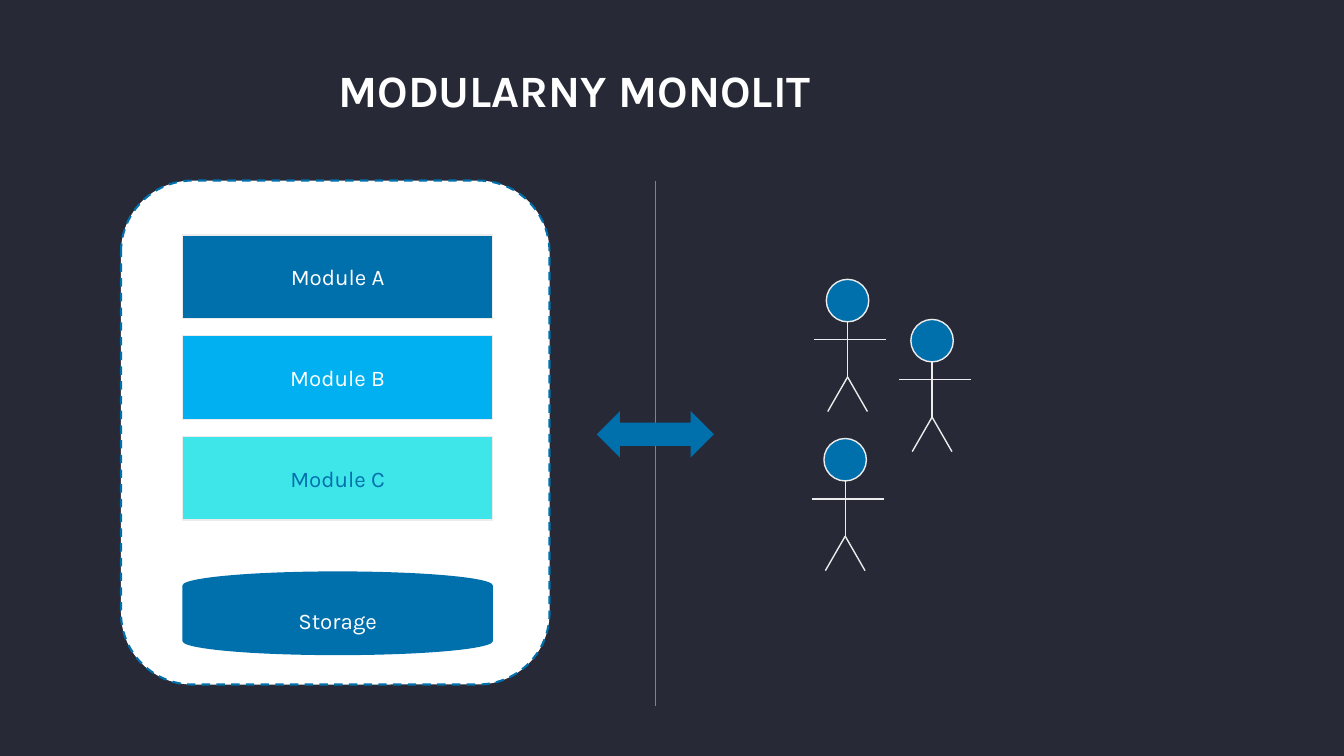
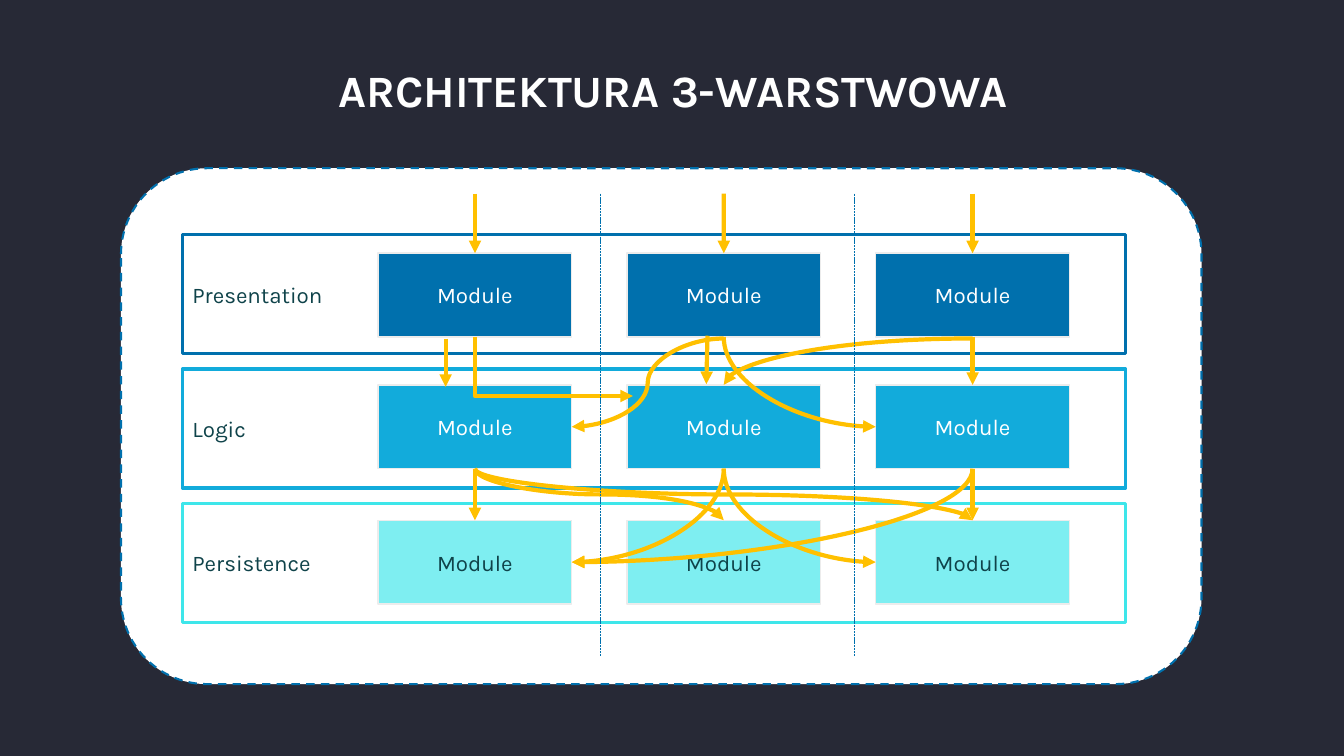
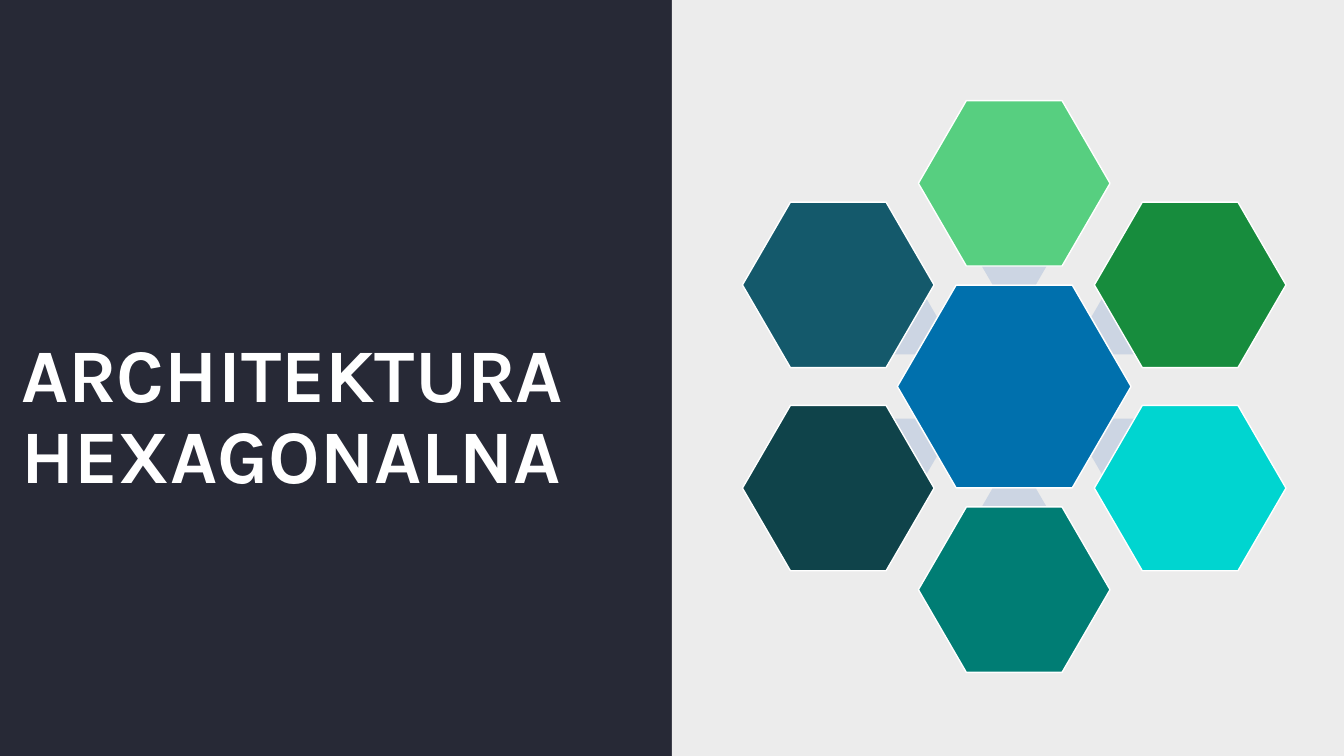
"""Build three slides on software architecture styles."""
from dataclasses import dataclass
from math import cos, radians, sin
from typing import NamedTuple, Optional

from lxml.etree import SubElement
from pptx import Presentation
from pptx.dml.color import RGBColor
from pptx.enum.dml import MSO_LINE_DASH_STYLE as Dash
from pptx.enum.shapes import MSO_CONNECTOR as Link, MSO_SHAPE as Preset
from pptx.enum.text import MSO_ANCHOR as Anchor, MSO_AUTO_SIZE as AutoSize, PP_ALIGN as Align
from pptx.oxml.ns import qn
from pptx.presentation import Presentation as Deck
from pptx.shapes.autoshape import Shape
from pptx.shapes.connector import Connector
from pptx.shapes.shapetree import _BaseGroupShapes as Shapes
from pptx.slide import Slide
from pptx.text.text import TextFrame
from pptx.util import Cm, Pt


@dataclass(frozen=True)
class Theme:
    font: str = "Karla"
    title_size: float = 32
    cover_size: float = 54
    label_size: float = 16
    background: str = "272936"
    white: str = "FFFFFF"
    pale: str = "ECECEC"
    blue: str = "0070AD"
    bright: str = "00B0F0"
    sky: str = "12ABDB"
    aqua: str = "3EE6EA"
    light_aqua: str = "7EEEF1"
    teal: str = "0F434A"
    arrow: str = "FFC000"
    spoke: str = "CCD5E3"
    ring: tuple[str, ...] = ("57CF80", "178C3D", "00D5D0", "007D74", "0F434A", "14596B")


THEME = Theme()


class Point(NamedTuple):
    x: float
    y: float


class Box(NamedTuple):
    left: float
    top: float
    width: float
    height: float


class Stroke(NamedTuple):
    color: str
    width: float
    dash: Optional[Dash] = None
    arrow: bool = False


class Label(NamedTuple):
    text: str
    color: str
    align: Align = Align.CENTER


class Block(NamedTuple):
    text: str
    fill: str
    color: str


class Layer(NamedTuple):
    name: str
    border: str
    fill: str
    color: str
    module_top: float


class Route(NamedTuple):
    start: Point
    end: Point
    preset: str
    vertical: bool = True


THIN = Stroke(THEME.pale, 1)
FRAME = Stroke(THEME.blue, 1.5, Dash.DASH)
FLOW = Stroke(THEME.arrow, 3, arrow=True)
HEX_EDGE = Stroke(THEME.white, 1)
HEADING = Box(8.43, 1.73, 25, 1.22)
BLOCK_HEIGHT = 2.11


def rgb(color: str) -> RGBColor:
    return RGBColor.from_string(color)


def write(frame: TextFrame, label: Label, size: float, bold: bool = False) -> None:
    """Put one formatted paragraph in a text frame."""
    frame.text = label.text
    paragraph = frame.paragraphs[0]
    paragraph.alignment = label.align
    font = paragraph.font
    font.name, font.size, font.bold = THEME.font, Pt(size), bold
    font.color.rgb = rgb(label.color)


def add_titled_slide(presentation: Deck, text: str, box: Box, size: float) -> Slide:
    """Add a title-only slide and place its title."""
    slide = presentation.slides.add_slide(presentation.slide_layouts[5])
    title = slide.shapes.title
    title.left, title.top, title.width, title.height = map(Cm, box)
    frame = title.text_frame
    write(frame, Label(text, THEME.white, Align.LEFT), size, bold=True)
    frame.paragraphs[0].line_spacing = 0.9
    frame.word_wrap = True
    frame.auto_size = AutoSize.NONE
    frame.vertical_anchor = Anchor.BOTTOM
    frame.margin_left = frame.margin_right = Cm(0.1)
    frame.margin_top = frame.margin_bottom = Cm(0)
    return slide


def add_block(shapes: Shapes, preset: Preset, box: Box, fill: Optional[str] = None,
              stroke: Optional[Stroke] = None, label: Optional[Label] = None) -> Shape:
    """Add a preset shape with optional fill, outline and label."""
    shape = shapes.add_shape(preset, *map(Cm, box))
    shape.shadow.inherit = False
    if fill:
        shape.fill.solid()
        shape.fill.fore_color.rgb = rgb(fill)
    else:
        shape.fill.background()
    if stroke:
        apply_stroke(shape, stroke)
    else:
        shape.line.fill.background()
    if label:
        write(shape.text_frame, label, THEME.label_size)
        shape.text_frame.vertical_anchor = Anchor.MIDDLE
    return shape


def apply_stroke(shape: Shape | Connector, stroke: Stroke) -> None:
    """Set colour, width and dash of a line."""
    shape.line.color.rgb = rgb(stroke.color)
    shape.line.width = Pt(stroke.width)
    if stroke.dash:
        shape.line.dash_style = stroke.dash


def add_line(shapes: Shapes, start: Point, end: Point, stroke: Stroke,
             kind: Link = Link.STRAIGHT) -> Connector:
    """Add a connector between two points."""
    connector = shapes.add_connector(kind, *map(Cm, (*start, *end)))
    apply_stroke(connector, stroke)
    properties = connector._element.spPr
    if stroke.arrow:
        SubElement(properties.find(qn("a:ln")), qn("a:tailEnd"), type="triangle")
    SubElement(properties, qn("a:effectLst"))
    return connector


def add_route(shapes: Shapes, route: Route) -> None:
    """Add a bent or curved arrow; a vertical one leaves its start downwards."""
    start, end = route.start, route.end
    if route.vertical:
        run, drop = end.x - start.x, end.y - start.y
        middle = Point((start.x + end.x) / 2, (start.y + end.y) / 2)
        half_width = drop / 2 if run > 0 else -drop / 2
        half_height = abs(run) / 2
        start = Point(middle.x + half_width, middle.y - half_height)
        end = Point(middle.x - half_width, middle.y + half_height)
    connector = add_line(shapes, start, end, FLOW, Link.CURVE)
    properties = connector._element.spPr
    properties.find(qn("a:prstGeom")).set("prst", route.preset)
    if route.vertical:
        angle = 270 if run > 0 else 90
        properties.find(qn("a:xfrm")).set("rot", str(angle * 60000))


def add_person(slide: Slide, center: float, top: float) -> None:
    """Draw a stick figure as one group."""
    shapes = slide.shapes.add_group_shape().shapes
    hip = Point(center, top + 2.46)
    add_line(shapes, Point(center, top + 0.41), hip, THIN)
    add_line(shapes, Point(center + 0.97, top + 1.52), Point(center - 0.84, top + 1.52), THIN)
    for side in (-0.5, 0.5):
        add_line(shapes, hip, Point(center + side, top + 3.33), THIN)
    head = 1.07
    add_block(shapes, Preset.OVAL, Box(center - head / 2, top, head, head), THEME.blue, THIN)


def build_monolith(presentation: Deck) -> None:
    slide = add_titled_slide(presentation, "MODULARNY MONOLIT", HEADING, THEME.title_size)
    shapes = slide.shapes
    add_block(shapes, Preset.ROUNDED_RECTANGLE, Box(3.05, 4.55, 10.8, 12.7), THEME.white, FRAME)
    left, width = 4.6, 7.82
    modules = (
        Block("Module A", THEME.blue, THEME.white),
        Block("Module B", THEME.bright, THEME.white),
        Block("Module C", THEME.aqua, THEME.blue),
    )
    for index, module in enumerate(modules):
        box = Box(left, 5.92 + 2.54 * index, width, BLOCK_HEIGHT)
        add_block(shapes, Preset.RECTANGLE, box, module.fill, THIN,
                  Label(module.text, module.color))
    add_block(shapes, Preset.FLOWCHART_MAGNETIC_DISK, Box(left, 14.4, width, BLOCK_HEIGHT),
              THEME.blue, label=Label("Storage", THEME.white))
    for center, top in ((21.36, 7.04), (23.49, 8.05), (21.3, 11.05)):
        add_person(slide, center, top)
    add_line(shapes, Point(16.51, 4.55), Point(16.51, 17.78), Stroke(THEME.sky, 0.5))
    add_block(shapes, Preset.LEFT_RIGHT_ARROW, Box(15.04, 10.36, 2.95, 1.17), THEME.blue)


def build_layers(presentation: Deck) -> None:
    slide = add_titled_slide(presentation, "ARCHITEKTURA 3-WARSTWOWA", HEADING,
                             THEME.title_size)
    shapes = slide.shapes
    add_block(shapes, Preset.ROUNDED_RECTANGLE, Box(3.05, 4.24, 27.23, 13), THEME.white, FRAME)
    layers = (
        Layer("Presentation", THEME.blue, THEME.blue, THEME.white, 6.38),
        Layer("Logic", THEME.sky, THEME.sky, THEME.white, 9.7),
        Layer("Persistence", THEME.aqua, THEME.light_aqua, THEME.teal, 13.11),
    )
    width = 4.88
    lefts = [9.53 + 6.27 * column for column in range(3)]
    centers = [left + width / 2 for left in lefts]
    grid: list[list[Shape]] = []
    for row, layer in enumerate(layers):
        add_block(shapes, Preset.RECTANGLE, Box(4.6, 5.92 + 3.38 * row, 23.77, 3),
                  stroke=Stroke(layer.border, 2.25),
                  label=Label(layer.name, THEME.teal, Align.LEFT))
        grid.append([
            add_block(shapes, Preset.RECTANGLE, Box(left, layer.module_top, width, BLOCK_HEIGHT),
                      layer.fill, THIN, Label("Module", layer.color))
            for left in lefts
        ])

    top = 4.88
    for center, module in zip(centers, grid[0]):
        entry = add_line(shapes, Point(center, top), Point(center, 6.38), FLOW)
        entry.end_connect(module, 0)
    for row, column in ((0, 2), (1, 0), (1, 2)):
        center = centers[column]
        call = add_line(shapes, Point(center, layers[row].module_top + BLOCK_HEIGHT),
                        Point(center, layers[row + 1].module_top), FLOW)
        call.begin_connect(grid[row][column], 2)
        call.end_connect(grid[row + 1][column], 0)
    add_line(shapes, Point(11.23, 8.53), Point(11.23, 9.75), FLOW)
    add_line(shapes, Point(17.83, 8.46), Point(17.8, 9.68), FLOW)

    first, second, third = centers
    first_right, third_left = lefts[0] + width, lefts[2]
    upper, lower = (layer.module_top + BLOCK_HEIGHT for layer in layers[:2])
    logic, storage = (layer.module_top for layer in layers[1:])
    logic_middle, storage_middle = logic + BLOCK_HEIGHT / 2, storage + BLOCK_HEIGHT / 2
    arc, wave = "curvedConnector2", "curvedConnector3"
    routes = (
        Route(Point(first, upper), Point(15.95, 9.98), "bentConnector2"),
        Route(Point(third, 8.53), Point(second, logic), arc, vertical=False),
        Route(Point(second, upper), Point(third_left, logic_middle), arc),
        Route(Point(second, 8.53), Point(first_right, logic_middle), wave, vertical=False),
        Route(Point(first, lower), Point(second, storage), wave),
        Route(Point(first, lower), Point(third, storage), wave),
        Route(Point(second, lower), Point(first_right, storage_middle), arc),
        Route(Point(second, lower), Point(third_left, storage_middle), arc),
        Route(Point(third, lower), Point(first_right, storage_middle), arc),
    )
    for route in routes:
        add_route(shapes, route)
    for x in (15.14, 21.54):
        add_line(shapes, Point(x, top), Point(x, 16.54),
                 Stroke(THEME.blue, 0.5, Dash.SQUARE_DOT))


def add_hexagon(shapes: Shapes, center: Point, width: float, height: float, fill: str,
                stroke: Optional[Stroke] = None) -> None:
    """Add a regular hexagon around its centre."""
    box = Box(center.x - width / 2, center.y - height / 2, width, height)
    add_block(shapes, Preset.HEXAGON, box, fill, stroke).adjustments[0] = 0.29


def build_hexagons(presentation: Deck) -> None:
    slide = add_titled_slide(presentation, "ARCHITEKTURA HEXAGONALNA",
                             Box(0.43, 8.43, 15.27, 4.17), THEME.cover_size)
    shapes = slide.shapes
    add_block(shapes, Preset.RECTANGLE, Box(16.93, 0, 16.94, 19.05), THEME.pale)
    core = Point(25.56, 9.74)

    def around(radius: float, index: int) -> Point:
        angle = radians(60 * index - 90)
        return Point(core.x + radius * cos(angle), core.y + radius * sin(angle))

    add_hexagon(shapes, core, 5.89, 5.11, THEME.blue, HEX_EDGE)
    for index, color in enumerate(THEME.ring):
        add_hexagon(shapes, around(3.53, index), 2.21, 1.91, THEME.spoke)
        add_hexagon(shapes, around(5.12, index), 4.83, 4.17, color, HEX_EDGE)


def main() -> None:
    presentation = Presentation()
    presentation.slide_width, presentation.slide_height = Cm(33.87), Cm(19.05)
    background = presentation.slide_master.background.fill
    background.solid()
    background.fore_color.rgb = rgb(THEME.background)
    for build in (build_monolith, build_layers, build_hexagons):
        build(presentation)
    presentation.save("out.pptx")


if __name__ == "__main__":
    main()
